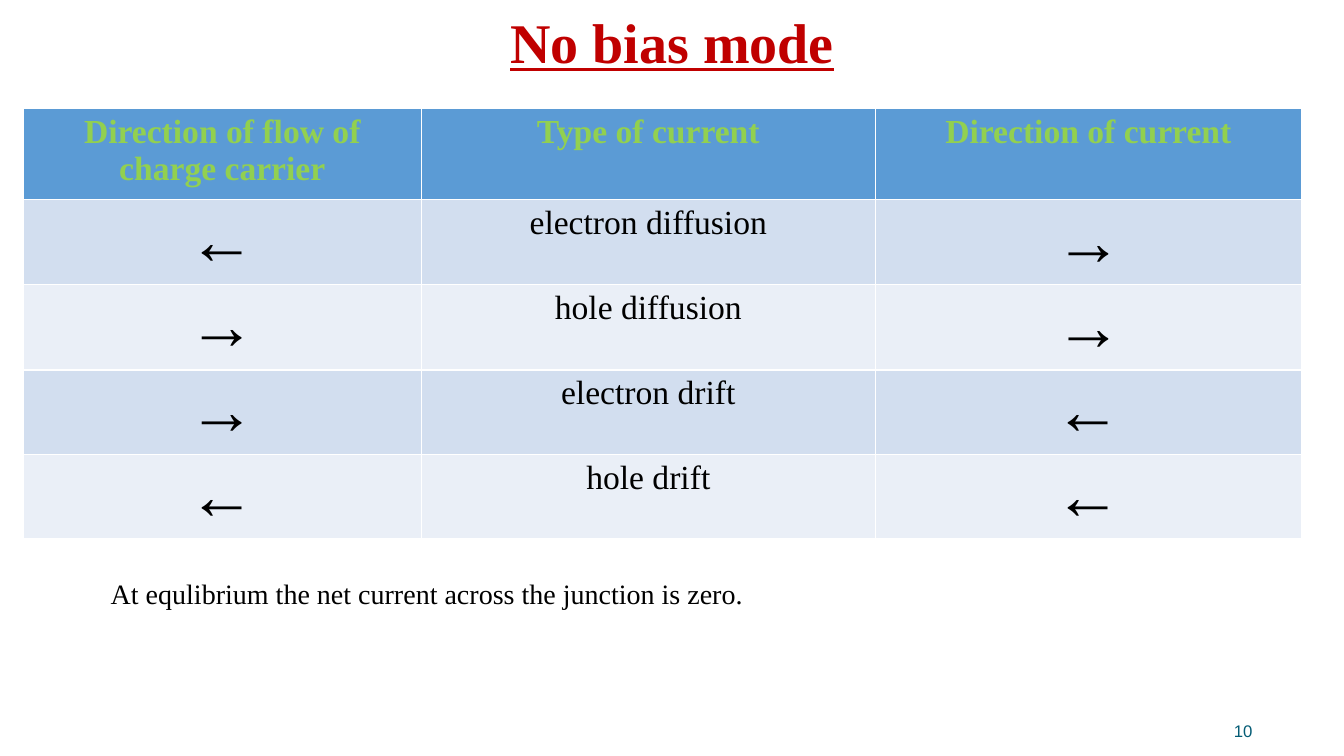
from typing import NamedTuple

from pptx import Presentation
from pptx.dml.color import RGBColor
from pptx.enum.text import MSO_ANCHOR, MSO_AUTO_SIZE, PP_ALIGN
from pptx.util import Inches, Pt

SLIDE_W, SLIDE_H = Inches(13.33), Inches(7.5)
RED = RGBColor(0xC0, 0x00, 0x00)
TEAL = RGBColor(0x04, 0x5C, 0x75)
GREEN = RGBColor(0x92, 0xD0, 0x50)
BLACK = RGBColor(0x00, 0x00, 0x00)
BLUE = RGBColor(0x5B, 0x9B, 0xD5)
BANDS = (RGBColor(0xD2, 0xDE, 0xEF), RGBColor(0xEA, 0xEF, 0xF7))
SERIF, SANS = "Times New Roman", "Arial"
COL_WIDTHS = (3.95, 4.5, 4.23)
HEADER_HEIGHT, ROW_HEIGHT = 0.9, 0.74


class Current(NamedTuple):
    carrier_flow: str
    kind: str
    direction: str
    direction_font: str = SERIF


HEADERS = (
    "Direction of flow of charge carrier",
    "Type of current",
    "Direction of current",
)
CURRENTS = (
    Current("←", "electron diffusion", "→", SANS),
    Current("→", "hole diffusion", "→", SANS),
    Current("→", "electron drift", "←"),
    Current("←", "hole drift", "←"),
)


def box(left: float, top: float, width: float, height: float) -> tuple:
    return (
        round(SLIDE_W * left),
        round(SLIDE_H * top),
        round(SLIDE_W * width),
        round(SLIDE_H * height),
    )


def write(tf, text: str, *, size: int, color: RGBColor = BLACK, font: str = SERIF,
          bold: bool = False, underline: bool = False,
          align: PP_ALIGN = PP_ALIGN.CENTER) -> None:
    p = tf.paragraphs[0]
    p.alignment = align
    r = p.add_run()
    r.text = text
    r.font.size = Pt(size)
    r.font.name = font
    r.font.bold = bold
    r.font.underline = underline
    r.font.color.rgb = color


def fill_cell(cell, fill: RGBColor, text: str, **fmt) -> None:
    cell.fill.solid()
    cell.fill.fore_color.rgb = fill
    cell.margin_left = cell.margin_right = Inches(0.13)
    cell.margin_top = cell.margin_bottom = Inches(0.05)
    write(cell.text_frame, text, **fmt)


def set_frame(tf, top: float = 0) -> None:
    tf.word_wrap = True
    tf.auto_size = MSO_AUTO_SIZE.NONE
    tf.vertical_anchor = MSO_ANCHOR.BOTTOM
    tf.margin_left = tf.margin_right = tf.margin_bottom = 0
    tf.margin_top = Inches(top)


def add_title(s) -> None:
    title = s.shapes.title
    title.left, title.top, title.width, title.height = box(0.05, 0, 0.9, 0.1)
    set_frame(title.text_frame, 0.05)
    title.text_frame.paragraphs[0].line_spacing = 0.9
    write(title.text_frame, "No bias mode", size=40, color=RED, bold=True, underline=True)


def add_current_table(s) -> None:
    height = HEADER_HEIGHT + ROW_HEIGHT * len(CURRENTS)
    table = s.shapes.add_table(
        len(CURRENTS) + 1, len(HEADERS), Inches(0.23), Inches(1.08),
        Inches(sum(COL_WIDTHS)), Inches(height),
    ).table
    for column, width in zip(table.columns, COL_WIDTHS):
        column.width = Inches(width)
    for i, row in enumerate(table.rows):
        row.height = Inches(ROW_HEIGHT if i else HEADER_HEIGHT)
    for col, header in enumerate(HEADERS):
        fill_cell(table.cell(0, col), BLUE, header, size=24, color=GREEN, bold=True)
    for i, current in enumerate(CURRENTS):
        flow, kind, direction = table.rows[i + 1].cells
        band = BANDS[i % 2]
        fill_cell(flow, band, current.carrier_flow, size=48)
        fill_cell(kind, band, current.kind, size=24)
        fill_cell(direction, band, current.direction, size=48, font=current.direction_font)


def add_note(s) -> None:
    tf = s.shapes.add_textbox(*box(0.075, 0.756, 0.8, 0.058)).text_frame
    tf.word_wrap = True
    tf.auto_size = MSO_AUTO_SIZE.SHAPE_TO_FIT_TEXT
    write(tf, "At equlibrium the net current across the junction is zero.",
          size=20, align=PP_ALIGN.LEFT)


def add_page_number(s) -> None:
    tf = s.shapes.add_textbox(*box(0.707, 0.927, 0.225, 0.053)).text_frame
    set_frame(tf)
    write(tf, "10", size=12, color=TEAL, font=SANS, align=PP_ALIGN.RIGHT)


def main() -> None:
    prs = Presentation()
    prs.slide_width, prs.slide_height = SLIDE_W, SLIDE_H
    s = prs.slides.add_slide(prs.slide_layouts[5])
    add_title(s)
    add_page_number(s)
    add_current_table(s)
    add_note(s)
    prs.save("out.pptx")


if __name__ == "__main__":
    main()
